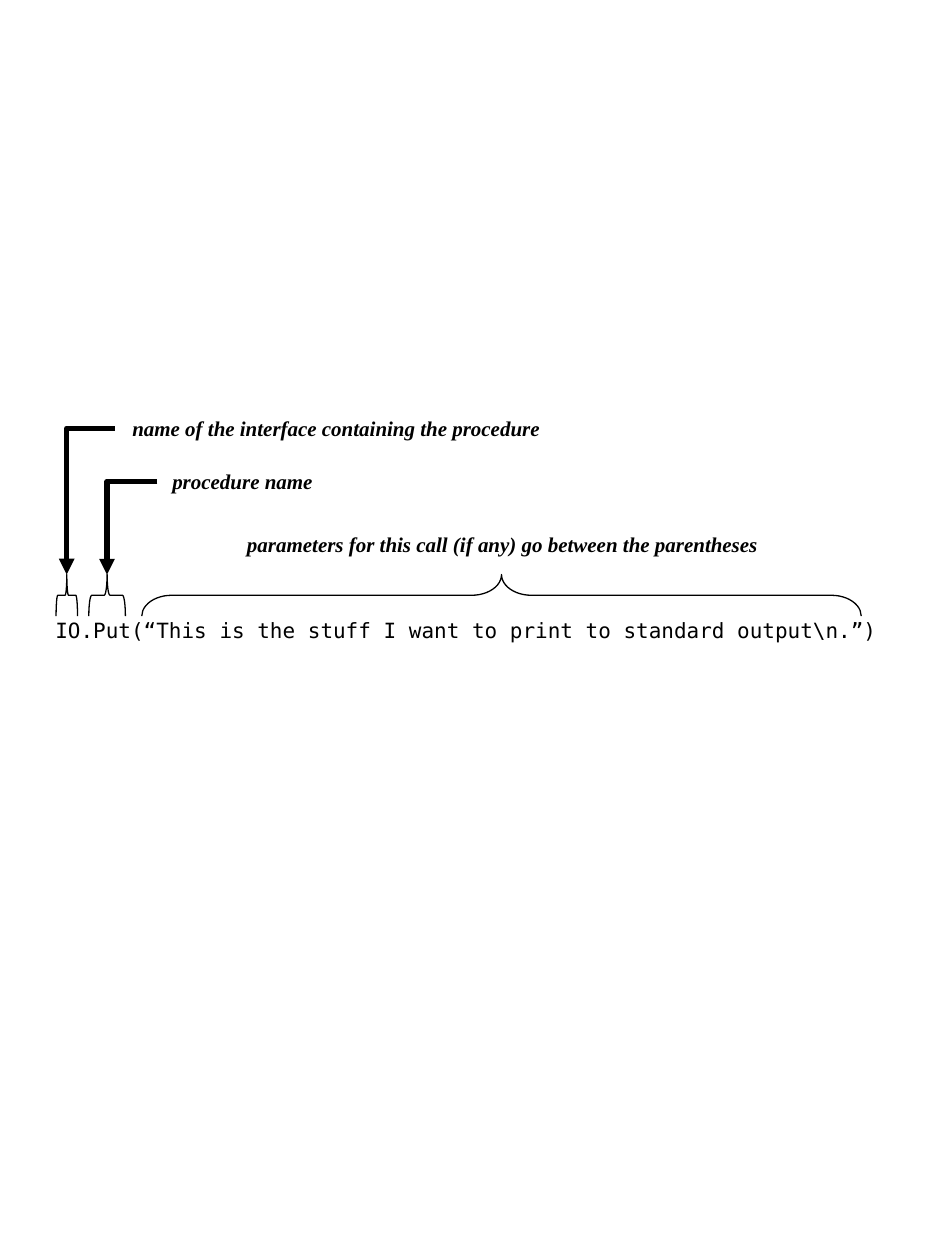
from dataclasses import dataclass

from lxml.etree import SubElement
from pptx import Presentation
from pptx.dml.color import RGBColor
from pptx.enum.shapes import MSO_CONNECTOR, MSO_SHAPE
from pptx.enum.text import MSO_ANCHOR, MSO_AUTO_SIZE, PP_ALIGN
from pptx.oxml.ns import qn
from pptx.slide import Slide
from pptx.util import Inches, Pt

INK = "000000"
TIP = 4.56  # top of all braces, where the arrows end
DEPTH = 0.33


@dataclass
class Label:
    text: str
    left: float
    top: float
    width: float
    font: str = "Times New Roman"
    strong: bool = True


@dataclass
class Brace:
    mid: float
    span: float
    curve: float


@dataclass
class Arrow:
    start: float
    top: float
    end: float


LABELS = [
    Label("IO.Put(“This is the stuff I want to print to standard output\\n.”)",
          0.34, 4.85, 6.72, "DejaVu Sans Mono", False),
    Label("parameters for this call (if any) go between the parentheses",
          1.35, 4.17, 5.28),
    Label("procedure name", 1.13, 3.67, 1.59),
    Label("name of the interface containing the procedure", 0.56, 3.25, 4.22),
]
BRACES = [Brace(0.53, 0.17, 0.08), Brace(0.85, 0.29, 0.08), Brace(3.98, 5.71, 0.72)]
ARROWS = [Arrow(0.91, 3.4, 0.53), Arrow(1.25, 3.82, 0.85)]


def color(code: str) -> RGBColor:
    return RGBColor.from_string(code)


def add_label(slide: Slide, label: Label) -> None:
    box = slide.shapes.add_textbox(Inches(label.left), Inches(label.top),
                                   Inches(label.width), Inches(0.3))
    frame = box.text_frame
    frame.word_wrap = False
    frame.auto_size = MSO_AUTO_SIZE.SHAPE_TO_FIT_TEXT
    frame.vertical_anchor = MSO_ANCHOR.MIDDLE
    frame.text = label.text
    line = frame.paragraphs[0]
    line.alignment = PP_ALIGN.CENTER
    font = line.runs[0].font
    font.name = label.font
    font.size = Pt(12)
    font.bold = font.italic = label.strong
    font.color.rgb = color(INK)


def add_brace(slide: Slide, brace: Brace) -> None:
    """Turn a left brace so that its point faces up."""
    shape = slide.shapes.add_shape(
        MSO_SHAPE.LEFT_BRACE,
        Inches(brace.mid - DEPTH / 2), Inches(TIP + (DEPTH - brace.span) / 2),
        Inches(DEPTH), Inches(brace.span))
    shape.rotation = 90
    shape.adjustments[0] = brace.curve
    shape.shadow.inherit = False
    shape.fill.background()
    shape.line.color.rgb = color(INK)
    shape.line.width = Pt(0.75)


def add_arrow(slide: Slide, arrow: Arrow) -> None:
    """Draw a one-bend arrow that runs left and then down."""
    link = slide.shapes.add_connector(
        MSO_CONNECTOR.ELBOW, Inches(arrow.start), Inches(arrow.top),
        Inches(arrow.end), Inches(TIP))
    link.line.color.rgb = color(INK)
    link.line.width = Pt(3)
    props = link._element.spPr
    props.find(qn("a:prstGeom")).set("prst", "bentConnector2")
    SubElement(props.find(qn("a:ln")), qn("a:tailEnd"), type="triangle")
    SubElement(props, qn("a:effectLst"))


def main() -> None:
    deck = Presentation()
    deck.slide_width, deck.slide_height = Inches(7.5), Inches(10)
    slide = deck.slides.add_slide(deck.slide_layouts[6])
    for label in LABELS:
        add_label(slide, label)
    for brace in BRACES:
        add_brace(slide, brace)
    for arrow in ARROWS:
        add_arrow(slide, arrow)
    deck.save("out.pptx")


if __name__ == "__main__":
    main()
